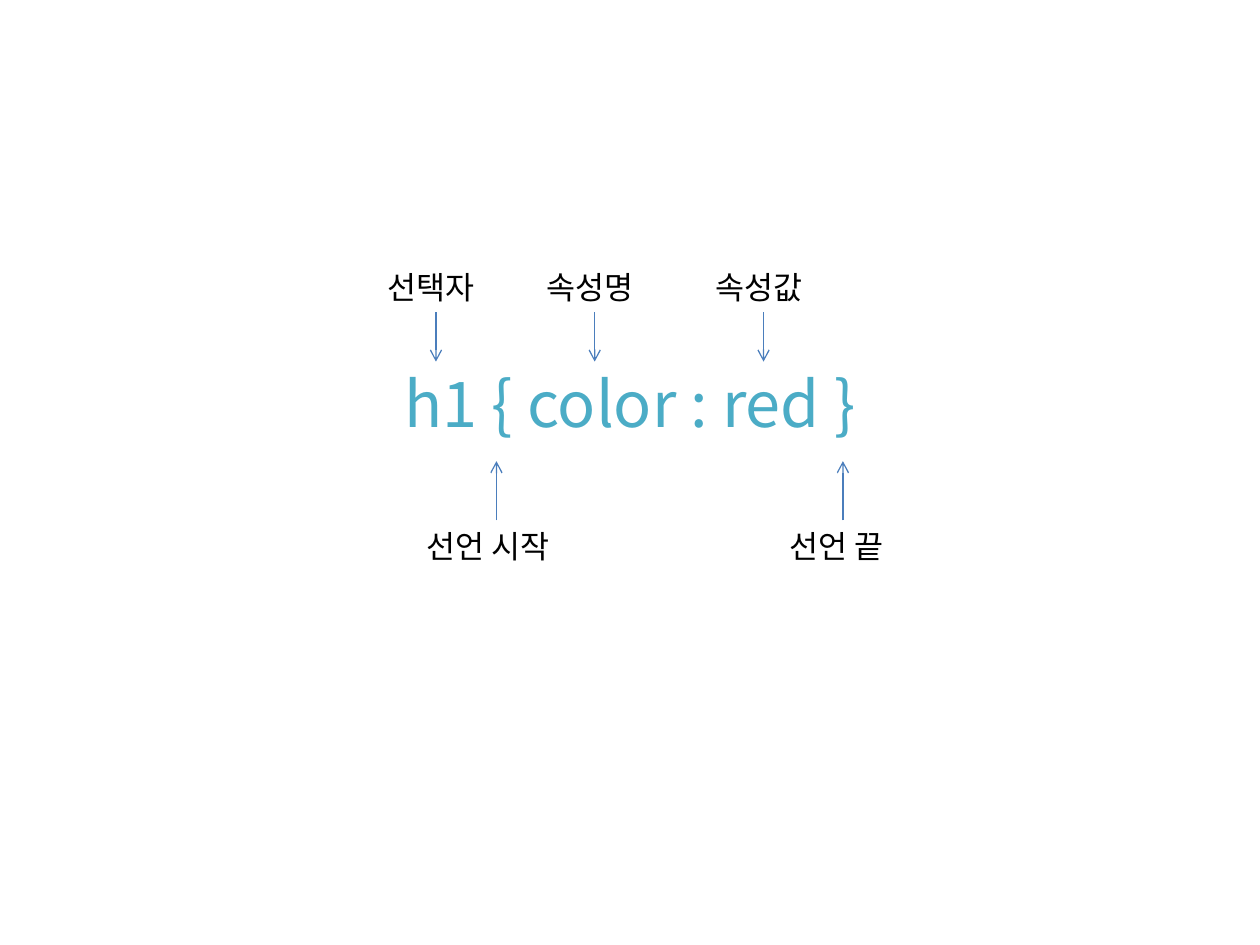
from dataclasses import dataclass

from lxml import etree
from pptx import Presentation
from pptx.dml.color import RGBColor
from pptx.enum.shapes import MSO_CONNECTOR
from pptx.enum.text import MSO_ANCHOR, MSO_AUTO_SIZE, PP_ALIGN
from pptx.oxml.ns import qn
from pptx.util import Inches, Pt

STRAIGHT = MSO_CONNECTOR.STRAIGHT
MIDDLE = MSO_ANCHOR.MIDDLE
NO_AUTOFIT = MSO_AUTO_SIZE.NONE
CENTER = PP_ALIGN.CENTER
LEFT = PP_ALIGN.LEFT


@dataclass(frozen=True)
class Theme:
    """Colours, font and type sizes of the slide."""
    font: str = "Noto Sans CJK KR"
    accent: RGBColor = RGBColor(0x4B, 0xAC, 0xC6)
    text: RGBColor = RGBColor(0, 0, 0)
    arrow: RGBColor = RGBColor(0x4B, 0x7E, 0xBC)
    code_size: Pt = Pt(36)
    label_size: Pt = Pt(18)
    arrow_width: Pt = Pt(0.75)


THEME = Theme()
LABEL_HEIGHT = 0.4


def style_paragraph(para, size, color, align):
    """Set the font, size, colour and alignment of a paragraph."""
    para.alignment = align
    para.font.name = THEME.font
    para.font.size = size
    para.font.color.rgb = color
    defaults = para._p.get_or_add_pPr().find(qn("a:defRPr"))
    etree.SubElement(defaults, qn("a:ea"), typeface=THEME.font)


def add_label(page, left, top, width, wording):
    """Add one line of label text."""
    box = page.shapes.add_textbox(
        Inches(left), Inches(top), Inches(width), Inches(LABEL_HEIGHT))
    frame = box.text_frame
    frame.word_wrap = False
    frame.text = wording
    style_paragraph(frame.paragraphs[0], THEME.label_size, THEME.text, LEFT)


def add_arrow(page, x, start, end):
    """Add a vertical arrow that points at the end height."""
    arrow = page.shapes.add_connector(
        STRAIGHT, Inches(x), Inches(start), Inches(x), Inches(end))
    arrow.line.color.rgb = THEME.arrow
    arrow.line.width = THEME.arrow_width
    line = arrow.line._get_or_add_ln()
    etree.SubElement(line, qn("a:tailEnd"), type="arrow")
    etree.SubElement(arrow._element.spPr, qn("a:effectLst"))


def add_callouts(page, label_top, arrow_start, arrow_end, callouts):
    """Add a row of labels, each box centred on its arrow."""
    for wording, center, width in callouts:
        add_label(page, center - width / 2, label_top, width, wording)
        add_arrow(page, center, arrow_start, arrow_end)


def add_code_title(page, left, top, width, height):
    """Place the CSS rule in the title placeholder."""
    title = page.shapes.title
    title.left, title.top = Inches(left), Inches(top)
    title.width, title.height = Inches(width), Inches(height)
    frame = title.text_frame
    frame.text = "h1 { color : red }"
    frame.vertical_anchor = MIDDLE
    frame.auto_size = NO_AUTOFIT
    style_paragraph(frame.paragraphs[0], THEME.code_size, THEME.accent, CENTER)


def add_anatomy(page, left, top, width, height):
    """Add the CSS rule with callouts above and below it."""
    add_code_title(page, left, top, width, height)
    add_callouts(page, top - 0.31, top + 0.09, top + 0.48, [
        ("선택자", left + 2.71, 0.96),
        ("속성명", left + 3.97, 0.96),
        ("속성값", left + 5.31, 0.96),
    ])
    below = top + height + 0.13
    add_callouts(page, below, below, below - 0.47, [
        ("선언 시작", left + 3.19, 1.3),
        ("선언 끝", left + 5.94, 1.05),
    ])


def build_deck():
    """Build the slide and save the deck."""
    deck = Presentation()
    deck.slide_width, deck.slide_height = Inches(10), Inches(7.5)
    page = deck.slides.add_slide(deck.slide_layouts[5])
    add_anatomy(page, 0.75, 2.39, 8.5, 1.61)
    deck.save("out.pptx")


build_deck()
